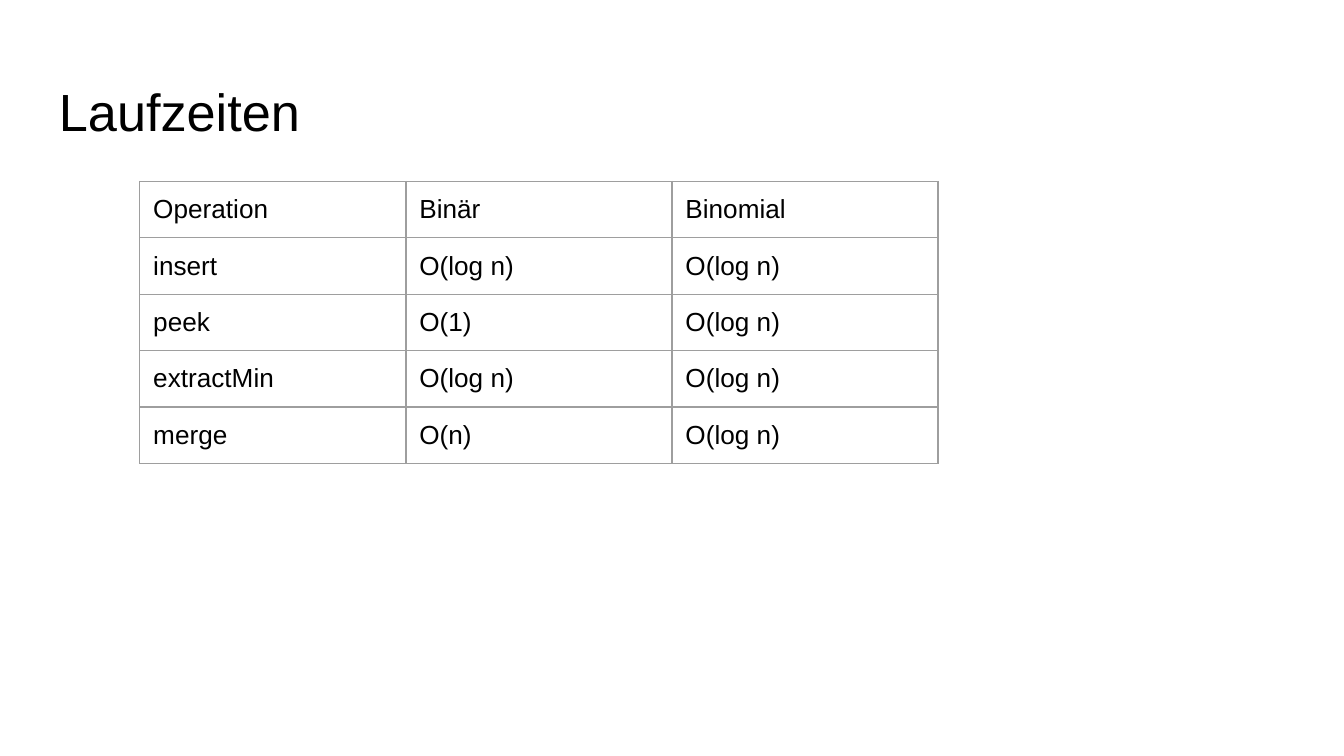
"""Build a slide with a table of heap operation running times."""
from lxml.etree import SubElement
from pptx import Presentation
from pptx.dml.color import RGBColor
from pptx.oxml.ns import qn
from pptx.util import Inches, Pt

TITLE = "Laufzeiten"
ROWS = [
    ("Operation", "Binär", "Binomial"),
    ("insert", "O(log n)", "O(log n)"),
    ("peek", "O(1)", "O(log n)"),
    ("extractMin", "O(log n)", "O(log n)"),
    ("merge", "O(n)", "O(log n)"),
]
COLORS = {"text": "000000", "border": "9E9E9E", "background": "FFFFFF"}
FONT = "Arial"
INSET, CELL_BOTTOM_INSET = Inches(0.1), Inches(0.08)
COLUMN_WIDTH, ROW_HEIGHT = Inches(1.98), Inches(0.42)
BORDER_WIDTH = Pt(0.75)


def add_text(paragraph, text, size):
    run = paragraph.add_run()
    run.text = text
    run.font.name = FONT
    run.font.size = Pt(size)
    run.font.color.rgb = RGBColor.from_string(COLORS["text"])


def set_insets(target, bottom=INSET):
    target.margin_left = target.margin_right = target.margin_top = INSET
    target.margin_bottom = bottom


def add_borders(cell):
    properties = cell._tc.get_or_add_tcPr()
    for side in ("lnL", "lnR", "lnT", "lnB"):
        line = SubElement(properties, qn(f"a:{side}"), w=str(BORDER_WIDTH))
        fill = SubElement(line, qn("a:solidFill"))
        SubElement(fill, qn("a:srgbClr"), val=COLORS["border"])


presentation = Presentation()
presentation.slide_width = Inches(10)
presentation.slide_height = presentation.slide_width * 9 // 16
slide = presentation.slides.add_slide(presentation.slide_layouts[6])
slide.background.fill.solid()
slide.background.fill.fore_color.rgb = RGBColor.from_string(COLORS["background"])

title = slide.shapes.add_textbox(Inches(0.34), Inches(0.49), Inches(9.32), Inches(0.63))
title.text_frame.word_wrap = True
set_insets(title.text_frame)
add_text(title.text_frame.paragraphs[0], TITLE, 28)

column_count = len(ROWS[0])
table = slide.shapes.add_table(
    len(ROWS), column_count, Inches(1.04), Inches(1.35),
    COLUMN_WIDTH * column_count, ROW_HEIGHT * len(ROWS),
).table
table.first_row = table.horz_banding = False
for column in table.columns:
    column.width = COLUMN_WIDTH
for row, texts in zip(table.rows, ROWS):
    row.height = ROW_HEIGHT
    for cell, text in zip(row.cells, texts):
        set_insets(cell, CELL_BOTTOM_INSET)
        add_borders(cell)
        cell.fill.background()
        add_text(cell.text_frame.paragraphs[0], text, 14)

presentation.save("out.pptx")
